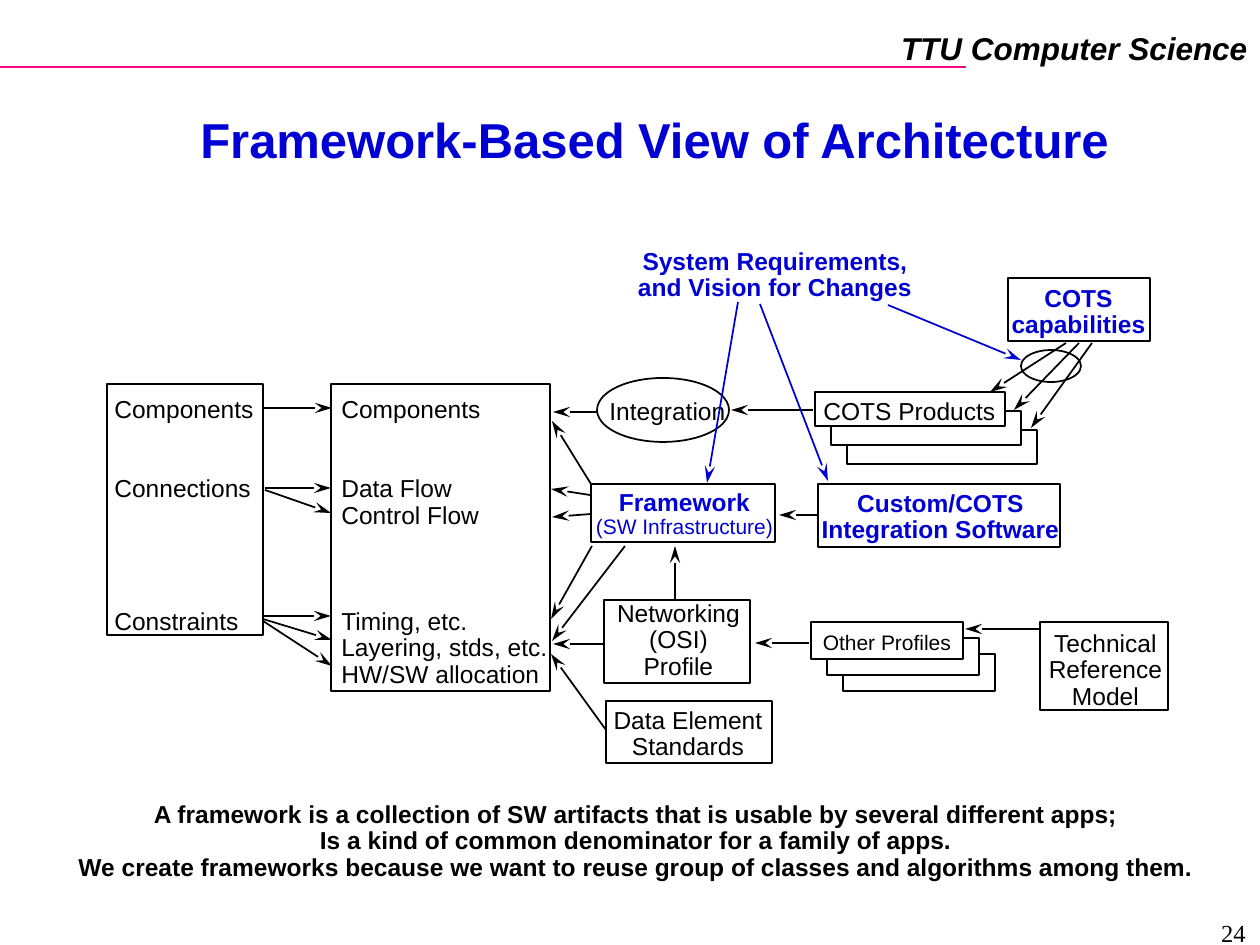
from dataclasses import dataclass

from lxml import etree
from pptx import Presentation
from pptx.dml.color import RGBColor
from pptx.enum.shapes import MSO_CONNECTOR, MSO_SHAPE
from pptx.enum.text import MSO_ANCHOR, MSO_AUTO_SIZE, PP_ALIGN
from pptx.oxml.ns import qn
from pptx.util import Emu, Pt

RECT, OVAL = MSO_SHAPE.RECTANGLE, MSO_SHAPE.OVAL
STRAIGHT = MSO_CONNECTOR.STRAIGHT
LEFT, CENTER, RIGHT = PP_ALIGN.LEFT, PP_ALIGN.CENTER, PP_ALIGN.RIGHT
TOP, GROW = MSO_ANCHOR.TOP, MSO_AUTO_SIZE.SHAPE_TO_FIT_TEXT
EMU_PER_PX = 914400 / 126


@dataclass(frozen=True)
class Theme:
    """Colours, fonts and type sizes of the slide."""
    ink: RGBColor = RGBColor(0, 0, 0)
    blue: RGBColor = RGBColor(0, 0, 0xD4)
    pink: RGBColor = RGBColor(0xF2, 0x08, 0x84)
    paper: RGBColor = RGBColor(0xFF, 0xFF, 0xFF)
    sans: str = "Arial"
    serif: str = "Times New Roman"
    title: int = 28
    header: int = 18
    body: int = 14
    small: int = 12
    stroke: int = 1
    leading: float = 0.9
    row: float = 15.13


THEME = Theme()
BLUE_BOLD = {"color": THEME.blue, "bold": True}


@dataclass(frozen=True)
class Line:
    """One paragraph, with the number of empty rows left above it."""
    text: str
    rows_above: int = 0
    size: int = THEME.body
    bold: bool = False
    italic: bool = False
    color: RGBColor = THEME.ink
    font: str = THEME.sans


@dataclass(frozen=True)
class Label:
    """A text block placed on the slide."""
    at: tuple[int, int, int, int]
    lines: tuple[Line, ...]
    align: PP_ALIGN = CENTER
    wrap: bool = False
    leading: float = THEME.leading


@dataclass(frozen=True)
class Outline:
    """A box or oval, repeated at a fixed step when it is a stack."""
    at: tuple[int, int, int, int]
    preset: MSO_SHAPE = RECT
    copies: int = 1
    step: tuple[int, int] = (0, 0)


@dataclass(frozen=True)
class Link:
    """A straight line from one point to another."""
    start: tuple[int, int]
    end: tuple[int, int]
    color: RGBColor = THEME.ink
    arrow: bool = True


def px(*lengths: int) -> list[Emu]:
    """Turn pixel lengths into EMU."""
    return [Emu(round(length * EMU_PER_PX)) for length in lengths]


def lines(*texts: str, **style) -> tuple[Line, ...]:
    """Make paragraphs that share one style."""
    return tuple(Line(text, **style) for text in texts)


def apply(target, values: dict) -> None:
    """Set each named attribute of the target."""
    for name, value in values.items():
        setattr(target, name, value)


def write(frame, label: Label) -> None:
    """Fill a text frame with the paragraphs of a label."""
    apply(frame, {"word_wrap": label.wrap, "auto_size": GROW, "vertical_anchor": TOP})
    for index, line in enumerate(label.lines):
        paragraph = frame.add_paragraph() if index else frame.paragraphs[0]
        apply(paragraph, {"alignment": label.align, "line_spacing": label.leading,
                          "space_before": Pt(line.rows_above * THEME.row)})
        run = paragraph.add_run()
        run.text = line.text
        apply(run.font, {"name": line.font, "size": Pt(line.size),
                         "bold": line.bold, "italic": line.italic})
        run.font.color.rgb = line.color


def draw_label(slide, label: Label) -> None:
    """Add a text box for a label."""
    write(slide.shapes.add_textbox(*px(*label.at)).text_frame, label)


def draw_outline(slide, outline: Outline) -> None:
    """Draw an outline, the rearmost copy of a stack first."""
    left, top, width, height = outline.at
    for depth in reversed(range(outline.copies)):
        across, down = (depth * step for step in outline.step)
        shape = slide.shapes.add_shape(outline.preset, *px(left + across, top + down, width, height))
        shape.shadow.inherit = False
        if outline.copies > 1:
            shape.fill.solid()
            shape.fill.fore_color.rgb = THEME.paper
        else:
            shape.fill.background()
        shape.line.color.rgb = THEME.ink
        shape.line.width = Pt(THEME.stroke)


def draw_link(slide, link: Link) -> None:
    """Draw a line, with an arrowhead at its end if wanted."""
    connector = slide.shapes.add_connector(STRAIGHT, *px(*link.start, *link.end))
    connector.line.color.rgb = link.color
    connector.line.width = Pt(THEME.stroke)
    properties = connector._element.spPr
    if link.arrow:
        etree.SubElement(properties.find(qn("a:ln")), qn("a:tailEnd"),
                         type="stealth", w="med", len="lg")
    etree.SubElement(properties, qn("a:effectLst"))


TITLE = Label((185, 111, 939, 64),
              lines("Framework-Based View of Architecture", size=THEME.title, **BLUE_BOLD),
              wrap=True, leading=0.87)

OUTLINES = (
    Outline((107, 384, 156, 251)), Outline((331, 384, 219, 307)),
    Outline((604, 600, 146, 83)), Outline((606, 701, 166, 62)),
    Outline((1040, 622, 128, 88)), Outline((1008, 278, 142, 63)),
    Outline((818, 484, 242, 63)), Outline((591, 484, 184, 58)),
    Outline((597, 378, 132, 64), OVAL), Outline((1021, 350, 60, 32), OVAL),
    Outline((811, 622, 152, 37), copies=3, step=(16, 16)),
    Outline((815, 392, 190, 34), copies=3, step=(16, 19)),
)

LABELS = (
    Label((888, 23, 372, 50),
          lines("TTU Computer Science", size=THEME.header, bold=True, italic=True), RIGHT, leading=1.0),
    Label((102, 391, 165, 251),
          (Line("Components"), Line("Connections", 2), Line("Constraints", 4)), LEFT),
    Label((329, 391, 242, 304),
          (Line("Components"), Line("Data Flow", 2), Line("Control Flow"), Line("Timing, etc.", 3),
           Line("Layering, stds, etc."), Line("HW/SW allocation")), LEFT, wrap=True),
    Label((604, 595, 149, 92), lines("Networking", "(OSI)", "Profile")),
    Label((601, 702, 174, 66), lines("Data Element", "Standards")),
    Label((1036, 625, 139, 92), lines("Technical", "Reference", "Model")),
    Label((810, 626, 154, 35), lines("Other Profiles", size=THEME.small)),
    Label((597, 393, 141, 39), lines("Integration"), LEFT),
    Label((811, 393, 198, 39), lines("COTS Products"), LEFT),
    Label((999, 280, 159, 66), lines("COTS", "capabilities", **BLUE_BOLD)),
    Label((625, 243, 300, 66), lines("System Requirements,", "and Vision for Changes", **BLUE_BOLD)),
    Label((583, 484, 203, 62),
          (Line("Framework", **BLUE_BOLD),
           Line("(SW Infrastructure)", size=THEME.small, color=THEME.blue))),
    Label((809, 485, 263, 66), lines("Custom/COTS", "Integration Software", **BLUE_BOLD)),
    Label((66, 796, 1140, 92), lines(
        "A framework is a collection of SW artifacts that is usable by several different apps;",
        "Is a kind of common denominator for a family of apps.",
        "We create frameworks because we want to reuse group of classes and algorithms among them.",
        bold=True)),
    Label((964, 912, 294, 28), lines("24", font=THEME.serif), RIGHT, wrap=True, leading=1.0),
)

LINKS = (
    Link((0, 67), (966, 67), THEME.pink, arrow=False),
    Link((263, 408), (332, 408)), Link((265, 488), (331, 488)), Link((265, 490), (331, 513)),
    Link((263, 616), (331, 616)), Link((263, 619), (332, 640)), Link((263, 621), (332, 666)),
    Link((604, 644), (553, 644)), Link((606, 730), (551, 654)),
    Link((809, 643), (755, 643)), Link((1040, 629), (965, 629)),
    Link((597, 412), (553, 412)), Link((813, 410), (731, 410)),
    Link((1066, 343), (990, 392)), Link((1079, 343), (1014, 410)), Link((1092, 343), (1031, 428)),
    Link((591, 484), (552, 421)), Link((590, 495), (551, 489)), Link((591, 514), (552, 517)),
    Link((592, 546), (551, 619)), Link((625, 546), (552, 641)),
    Link((675, 599), (675, 546)), Link((819, 515), (779, 515)),
    Link((888, 305), (1021, 360), THEME.blue),
    Link((738, 302), (707, 483), THEME.blue), Link((760, 304), (828, 481), THEME.blue),
)


def main() -> None:
    """Build and save the slide."""
    deck = Presentation()
    deck.slide_width, deck.slide_height = px(1260, 945)
    slide = deck.slides.add_slide(deck.slide_layouts[5])
    heading = slide.shapes.title
    apply(heading, dict(zip(("left", "top", "width", "height"), px(*TITLE.at))))
    write(heading.text_frame, TITLE)
    for draw, parts in ((draw_outline, OUTLINES), (draw_label, LABELS), (draw_link, LINKS)):
        for part in parts:
            draw(slide, part)
    deck.save("out.pptx")


if __name__ == "__main__":
    main()
